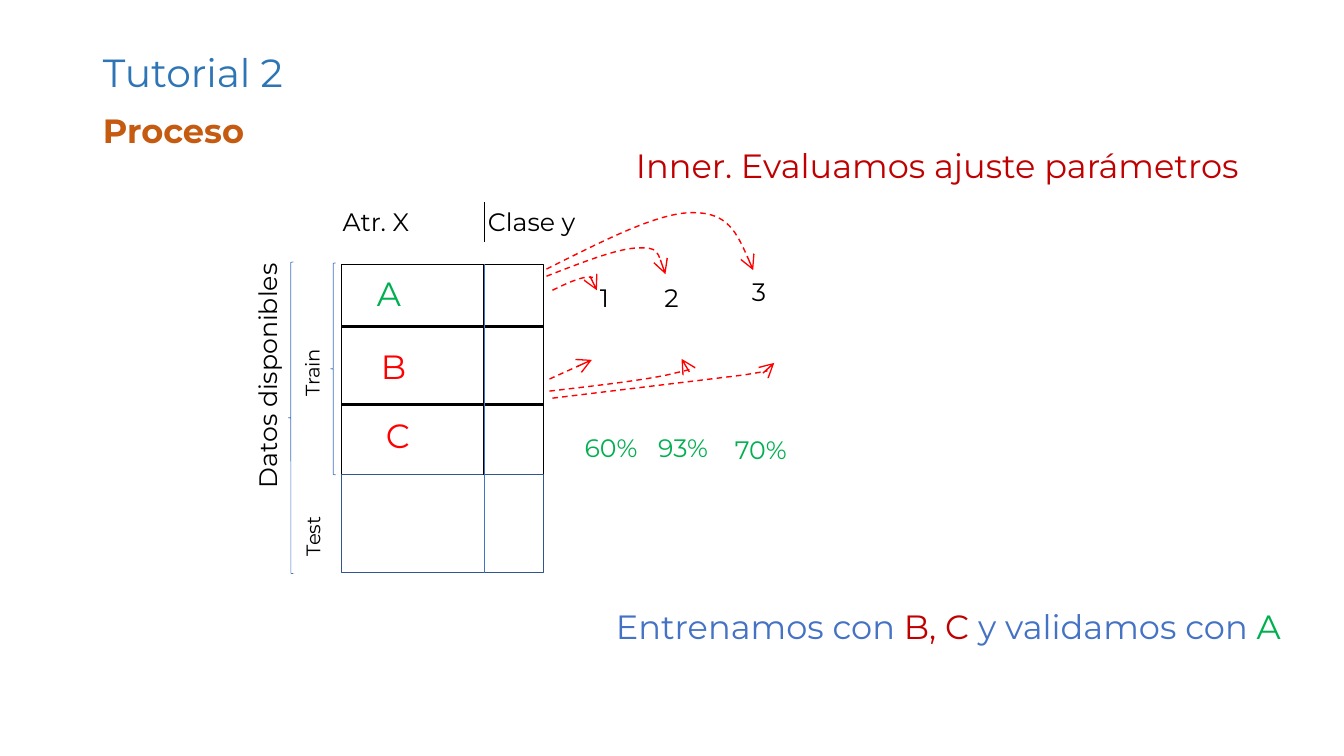
from dataclasses import dataclass

from lxml import etree
from pptx import Presentation
from pptx.dml.color import RGBColor
from pptx.enum.dml import MSO_LINE
from pptx.enum.shapes import MSO_CONNECTOR, MSO_SHAPE
from pptx.enum.text import MSO_ANCHOR, MSO_AUTO_SIZE, PP_ALIGN
from pptx.oxml.ns import qn
from pptx.util import Inches, Pt

STRAIGHT = MSO_CONNECTOR.STRAIGHT
RECTANGLE = MSO_SHAPE.RECTANGLE
LEFT_BRACE = MSO_SHAPE.LEFT_BRACE
DASH = MSO_LINE.DASH
LEFT = PP_ALIGN.LEFT
MIDDLE, TOP = MSO_ANCHOR.MIDDLE, MSO_ANCHOR.TOP
NO_AUTOFIT = MSO_AUTO_SIZE.NONE


@dataclass(frozen=True)
class Theme:
    font: str = "Montserrat"
    title_size: int = 28
    large: int = 24
    medium: int = 18
    small: int = 14
    black: str = "000000"
    title: str = "2E75B6"
    heading: str = "C55A11"
    blue: str = "4472C4"
    dark_blue: str = "325491"
    red: str = "FF0000"
    dark_red: str = "C00000"
    green: str = "00B050"


theme = Theme()


def style_paragraph(paragraph, size, color):
    paragraph.font.name = theme.font
    paragraph.font.size = Pt(size)
    paragraph.font.color.rgb = RGBColor.from_string(color)


def add_text(text, left, top, width, height, size, color, rotation=0, wrap=True):
    """Add a one-paragraph text box and return its paragraph."""
    box = slide.shapes.add_textbox(Inches(left), Inches(top), Inches(width), Inches(height))
    box.rotation = rotation
    box.text_frame.word_wrap = wrap
    paragraph = box.text_frame.paragraphs[0]
    paragraph.text = text
    style_paragraph(paragraph, size, color)
    return paragraph


presentation = Presentation()
presentation.slide_width = Inches(13.33)
presentation.slide_height = Inches(7.5)
slide = presentation.slides.add_slide(presentation.slide_layouts[1])

# Title and heading
title, body = slide.placeholders
for placeholder, text, top, height, size, color, anchor in (
    (title, "Tutorial 2", 0.4, 0.69, theme.title_size, theme.title, MIDDLE),
    (body, "Proceso", 1.09, 0.9, theme.large, theme.heading, TOP),
):
    placeholder.left, placeholder.top = Inches(0.92), Inches(top)
    placeholder.width, placeholder.height = Inches(11.5), Inches(height)
    frame = placeholder.text_frame
    frame.auto_size = NO_AUTOFIT
    frame.vertical_anchor = anchor
    paragraph = frame.paragraphs[0]
    paragraph.text = text
    paragraph.alignment = LEFT
    paragraph.line_spacing = 0.9
    paragraph.space_before = Pt(0)
    properties = paragraph._p.get_or_add_pPr()
    properties.set("marL", "0")
    properties.set("indent", "0")
    etree.SubElement(properties, qn("a:buNone"))
    style_paragraph(paragraph, size, color)
body.text_frame.paragraphs[0].font.bold = True

# Data table outline and braces
table_left, table_right, class_x = 3.39, 5.39, 4.8
train_top, test_top, table_bottom = 2.62, 4.71, 5.68
table_width = table_right - table_left
for kind, left, top, width, height, color, weight in (
    (RECTANGLE, table_left, train_top, table_width, test_top - train_top, theme.black, 0.75),
    (RECTANGLE, table_left, test_top, table_width, table_bottom - test_top, theme.dark_blue, 1),
    (LEFT_BRACE, 2.86, 2.6, 0.05, 3.09, theme.blue, 0.5),
    (LEFT_BRACE, 3.28, 2.61, 0.05, 2.1, theme.blue, 0.5),
):
    shape = slide.shapes.add_shape(kind, Inches(left), Inches(top), Inches(width), Inches(height))
    shape.shadow.inherit = False
    shape.fill.background()
    shape.line.color.rgb = RGBColor.from_string(color)
    shape.line.width = Pt(weight)

# Row and column dividers
for x1, y1, x2, y2, color, weight in (
    (class_x, train_top, class_x, test_top, theme.black, 0.75),
    (table_left, 3.24, table_right, 3.24, theme.black, 2),
    (table_left, 4.01, table_right, 4.01, theme.black, 2),
    (class_x, 2.4, class_x, 2, theme.black, 0.5),
    (class_x, train_top, class_x, table_bottom, theme.blue, 0.5),
):
    line = slide.shapes.add_connector(STRAIGHT, Inches(x1), Inches(y1), Inches(x2), Inches(y2))
    line.line.color.rgb = RGBColor.from_string(color)
    line.line.width = Pt(weight)
    etree.SubElement(line._element.spPr, qn("a:effectLst"))

# Column header, with a tab stop at the class column
header = add_text("Atr. X\tClase y", 3.3, 2, 3.01, 0.4, theme.medium, theme.black)
tabs = etree.Element(qn("a:tabLst"))
etree.SubElement(tabs, qn("a:tab"), pos=str(Inches(1.44)), algn="l")
header._p.get_or_add_pPr().insert(0, tabs)

# Vertical labels
for text, left, top, width, height, size in (
    ("Datos disponibles", 1.27, 3.36, 2.76, 0.4, theme.medium),
    ("Train", 2.7, 3.47, 0.79, 0.34, theme.small),
    ("Test", 2.71, 5.05, 0.79, 0.34, theme.small),
):
    add_text(text, left, top, width, height, size, theme.black, rotation=270)

# Folds
for text, left, top, color in (
    ("A", 3.64, 2.66, theme.green),
    ("B", 3.68, 3.38, theme.red),
    ("C", 3.73, 4.07, theme.red),
):
    add_text(text, left, top, 0.83, 0.5, theme.large, color)

# Parameter settings and their scores
for number, number_left, number_top, score, score_left, score_top in (
    ("1", 5.85, 2.75, "60%", 5.7, 4.24),
    ("2", 6.49, 2.75, "93%", 6.43, 4.24),
    ("3", 7.36, 2.69, "70%", 7.19, 4.26),
):
    add_text(number, number_left, number_top, 0.49, 0.4, theme.medium, theme.black)
    add_text(score, score_left, score_top, 0.77, 0.4, theme.medium, theme.green)

# Dashed arrows: a start, then segments of one point (line) or three (cubic curve)
arrows = (
    ((5.48, 2.88), ((5.62, 2.81), (5.76, 2.75), (5.83, 2.75)),
     ((5.91, 2.75), (5.91, 2.81), (5.92, 2.88))),
    ((5.42, 2.74), ((5.78, 2.6), (6.14, 2.46), (6.33, 2.46)),
     ((6.53, 2.45), (6.56, 2.59), (6.6, 2.72))),
    ((5.42, 2.67), ((5.98, 2.39), (6.54, 2.1), (6.88, 2.11)),
     ((7.22, 2.11), (7.35, 2.39), (7.47, 2.68))),
    ((5.45, 3.76), ((5.87, 3.57),)),
    ((5.45, 3.88), ((5.97, 3.82), (6.48, 3.76), (6.7, 3.7)),
     ((6.92, 3.65), (6.84, 3.61), (6.76, 3.56))),
    ((5.48, 3.95), ((7.38, 3.72),),
     ((7.74, 3.66), (7.71, 3.63), (7.68, 3.6))),
)
for (start_x, start_y), *segments in arrows:
    points = [(Inches(x), Inches(y)) for segment in segments for x, y in segment]
    builder = slide.shapes.build_freeform(Inches(start_x), Inches(start_y))
    builder.add_line_segments(points, close=False)
    arrow = builder.convert_to_shape()
    steps = iter(list(arrow._element.iter(qn("a:lnTo"))))
    for segment in segments:
        first, *others = [next(steps) for _ in segment]
        if others:
            first.tag = qn("a:cubicBezTo")
            for step in others:
                first.append(step[0])
                step.getparent().remove(step)
    arrow.shadow.inherit = False
    arrow.fill.background()
    arrow.line.color.rgb = RGBColor.from_string(theme.red)
    arrow.line.width = Pt(1)
    arrow.line.dash_style = DASH
    outline = arrow._element.spPr.find(qn("a:ln"))
    etree.SubElement(outline, qn("a:tailEnd"), type="arrow", w="lg", len="lg")

# Messages
add_text("Inner. Evaluamos ajuste parámetros", 6.21, 1.39, 6.27, 0.5,
         theme.large, theme.dark_red, wrap=False)
message = add_text("", 6.01, 5.96, 6.87, 0.5, theme.large, theme.blue, wrap=False)
for text, color in (
    ("Entrenamos con ", theme.blue),
    ("B, C ", theme.dark_red),
    ("y validamos con ", theme.blue),
    ("A", theme.green),
):
    run = message.add_run()
    run.text = text
    run.font.color.rgb = RGBColor.from_string(color)

presentation.save("out.pptx")
